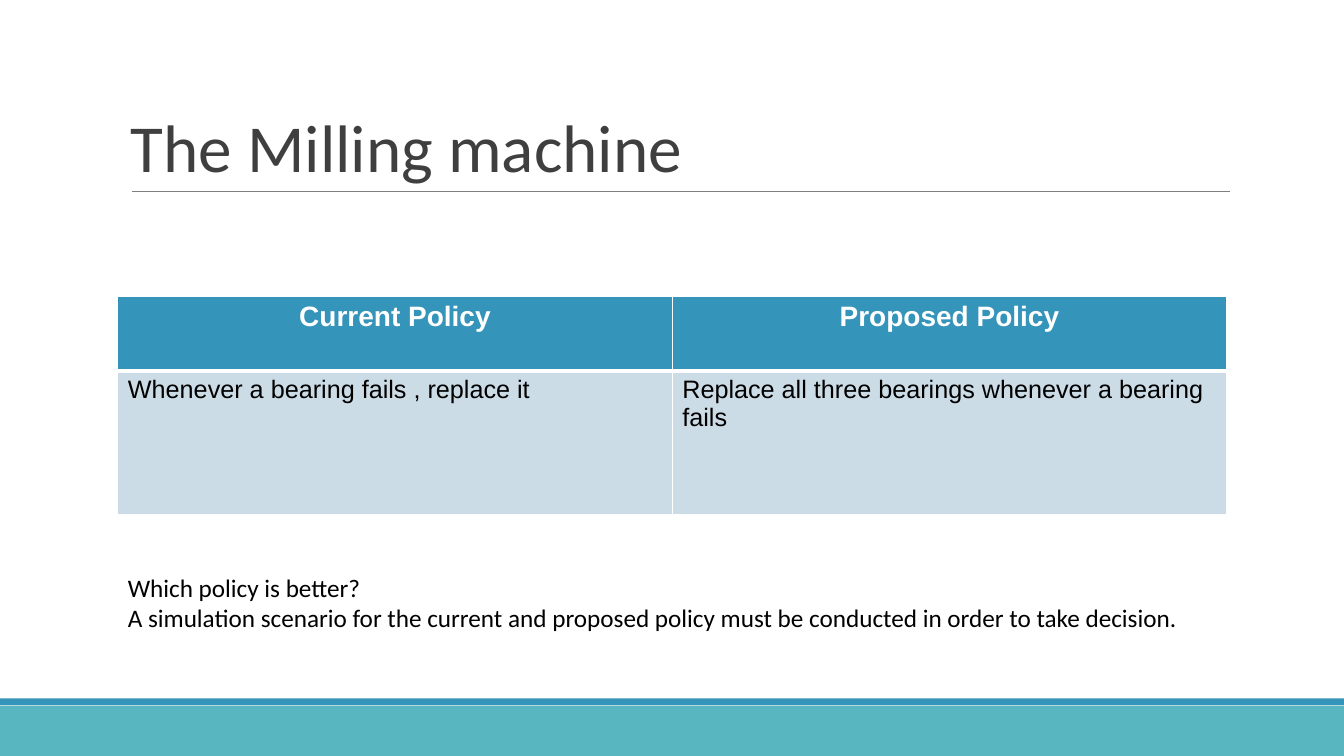
from lxml import etree
from pptx import Presentation
from pptx.dml.color import RGBColor
from pptx.enum.shapes import MSO_CONNECTOR, MSO_SHAPE
from pptx.enum.text import MSO_ANCHOR, PP_ALIGN
from pptx.oxml.ns import qn
from pptx.util import Pt

RECT = MSO_SHAPE.RECTANGLE
STRAIGHT = MSO_CONNECTOR.STRAIGHT
TOP, BOTTOM = MSO_ANCHOR.TOP, MSO_ANCHOR.BOTTOM
LEFT, CENTER = PP_ALIGN.LEFT, PP_ALIGN.CENTER

BLUE, TEAL, PALE = "3494BA", "58B6C0", "CCDCE6"
WHITE, BLACK, GREY, DARK = "FFFFFF", "000000", "7F7F7F", "3F3F3F"

POLICIES = [
    ["Current Policy", "Proposed Policy"],
    ["Whenever a bearing fails , replace it",
     "Replace all three bearings whenever a bearing fails"],
]
ROW_HEIGHTS = [53, 103]
COLUMN_WIDTH = 396
CONCLUSION = [
    "Which policy is better?",
    "A simulation scenario for the current and proposed policy must be "
    "conducted in order to take decision.",
]


def rgb(color):
    return RGBColor.from_string(color)


def write(tf, *lines, size=18, font="Calibri", color=BLACK, bold=False,
          align=LEFT, spacing=1.0):
    """Write each line as one paragraph."""
    tf.word_wrap = True
    for i, line in enumerate(lines):
        p = tf.paragraphs[0] if i == 0 else tf.add_paragraph()
        p.alignment = align
        p.line_spacing = spacing
        r = p.add_run()
        r.text = line
        r.font.size = Pt(size)
        r.font.name = font
        r.font.bold = bold
        r.font.color.rgb = rgb(color)


def add_text(s, x, y, w, h, *lines, anchor=TOP, **style):
    tf = s.shapes.add_textbox(Pt(x), Pt(y), Pt(w), Pt(h)).text_frame
    tf.vertical_anchor = anchor
    write(tf, *lines, **style)


def add_band(s, x, y, w, h, color):
    sp = s.shapes.add_shape(RECT, Pt(x), Pt(y), Pt(w), Pt(h))
    sp.shadow.inherit = False
    sp.fill.solid()
    sp.fill.fore_color.rgb = rgb(color)
    sp.line.fill.background()


def add_rule(s, x1, x2, y, color, width):
    line = s.shapes.add_connector(STRAIGHT, Pt(x1), Pt(y), Pt(x2), Pt(y))
    line.line.color.rgb = rgb(color)
    line.line.width = Pt(width)
    etree.SubElement(line._element.spPr, qn("a:effectLst"))


def set_borders(cell, color, **widths):
    """Add cell borders, which must come before the fill."""
    tc_pr = cell._tc.get_or_add_tcPr()
    for i, (side, width) in enumerate(widths.items()):
        ln = etree.Element(qn("a:" + side), w=str(Pt(width)))
        fill = etree.SubElement(ln, qn("a:solidFill"))
        etree.SubElement(fill, qn("a:srgbClr"), val=color)
        tc_pr.insert(i, ln)


def add_policy_table(s, x, y):
    rows, cols = len(POLICIES), len(POLICIES[0])
    frame = s.shapes.add_table(rows, cols, Pt(x), Pt(y),
                               Pt(cols * COLUMN_WIDTH), Pt(sum(ROW_HEIGHTS)))
    table = frame.table
    for column in table.columns:
        column.width = Pt(COLUMN_WIDTH)
    for i, texts in enumerate(POLICIES):
        table.rows[i].height = Pt(ROW_HEIGHTS[i])
        header = i == 0
        for j, text in enumerate(texts):
            cell = table.cell(i, j)
            cell.fill.solid()
            cell.fill.fore_color.rgb = rgb(BLUE if header else PALE)
            set_borders(cell, WHITE, lnL=1, lnR=1, lnT=1 if header else 3,
                        lnB=3 if header else 1)
            write(cell.text_frame, text, font="Arial", bold=header,
                  size=20 if header else 18,
                  color=WHITE if header else BLACK,
                  align=CENTER if header else LEFT)


def main():
    prs = Presentation()
    prs.slide_width, prs.slide_height = Pt(960), Pt(540)
    s = prs.slides.add_slide(prs.slide_layouts[6])

    # Footer bands
    add_band(s, 0, 504, 960, 36, TEAL)
    add_band(s, 0, 498.8, 960, 5, BLUE)

    # Title and its rule
    add_rule(s, 94.2, 878.8, 136.8, GREY, 0.75)
    add_text(s, 86.4, 22.6, 792, 114.2, "The Milling machine", anchor=BOTTOM,
             size=48, color=DARK, spacing=0.85)

    # Policies and the question they raise
    add_policy_table(s, 84.2, 211.8)
    add_text(s, 84.2, 405.4, 794, 72.7, *CONCLUSION)

    prs.save("out.pptx")


if __name__ == "__main__":
    main()
